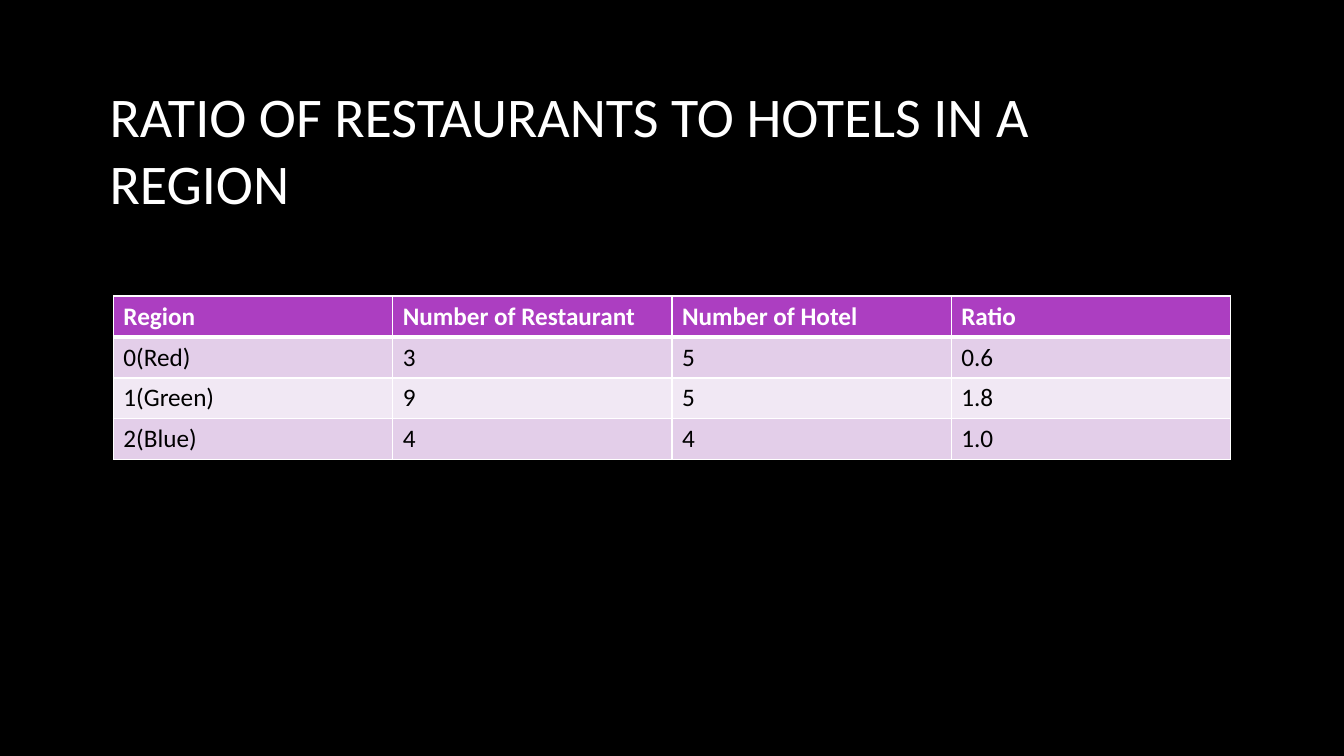
"""Builds a slide with a table of restaurant to hotel ratios by region."""
from lxml.etree import SubElement as Sub
from pptx import Presentation
from pptx.dml.color import RGBColor as Rgb
from pptx.enum.text import MSO_ANCHOR as Anchor
from pptx.oxml.ns import qn
from pptx.util import Pt

PX = 9525
COLORS = {
    "back": "000000",
    "ink": "000000",
    "light": "FFFFFF",
    "head": "AC3EC1",
    "odd": "E3CEE9",
    "even": "F1E8F4",
}
ROWS = [
    ("Region", "Number of Restaurant", "Number of Hotel", "Ratio"),
    ("0(Red)", "3", "5", "0.6"),
    ("1(Green)", "9", "5", "1.8"),
    ("2(Blue)", "4", "4", "1.0"),
]


def write(frame, text, size=18, color="ink", bold=False, font="Calibri"):
    run = frame.paragraphs[0].add_run()
    run.text = text
    run.font.name = font
    run.font.size = Pt(size)
    run.font.bold = bold
    run.font.color.rgb = Rgb.from_string(COLORS[color])


def paint(fill, color):
    fill.solid()
    fill.fore_color.rgb = Rgb.from_string(COLORS[color])


class Deck:
    def __init__(self, wide, high):
        self.show = Presentation()
        self.show.slide_width = wide * PX
        self.show.slide_height = high * PX
        self.slide = self.show.slides.add_slide(self.show.slide_layouts[6])
        paint(self.slide.background.fill, "back")

    def title(self, text, *box):
        shape = self.slide.shapes.add_textbox(*(n * PX for n in box))
        frame = shape.text_frame
        frame.word_wrap = True
        frame.vertical_anchor = Anchor.MIDDLE
        write(frame, text, size=40, color="light")

    def edge(self, cell, side, width):
        line = Sub(cell._tc.get_or_add_tcPr(), qn(f"a:ln{side}"), w=str(Pt(width)))
        fill = Sub(line, qn("a:solidFill"))
        Sub(fill, qn("a:srgbClr"), val=COLORS["light"])

    def table(self, rows, left, top, wide, high):
        count = len(rows[0])
        box = (left, top, wide * count, high * len(rows))
        shape = self.slide.shapes.add_table(len(rows), count, *(n * PX for n in box))
        grid = shape.table
        grid.horz_banding = False
        for y, row in enumerate(rows):
            shade = "head" if y == 0 else "odd" if y % 2 else "even"
            for x, text in enumerate(row):
                cell = grid.cell(y, x)
                for side in "LRTB":
                    thick = (y, side) in ((0, "B"), (1, "T"))
                    self.edge(cell, side, 3 if thick else 1)
                paint(cell.fill, shade)
                write(cell.text_frame, text, color="ink" if y else "light", bold=y == 0)


def main():
    deck = Deck(1280, 720)
    deck.title("RATIO OF RESTAURANTS TO HOTELS IN A REGION", 95, 65, 1064, 153)
    deck.table(ROWS, 108, 282, 266, 39)
    deck.show.save("out.pptx")


if __name__ == "__main__":
    main()
